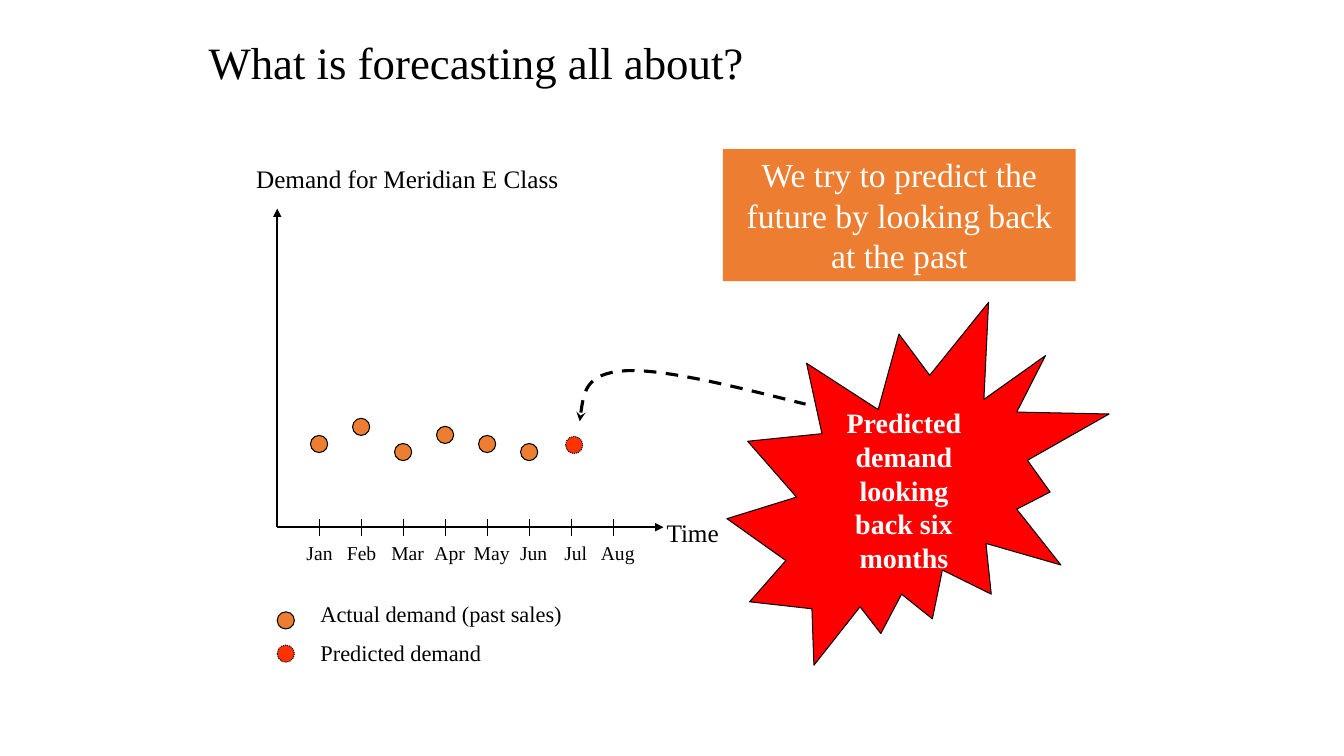
from pptx import Presentation
from pptx.dml.color import RGBColor
from pptx.enum.dml import MSO_LINE
from pptx.enum.shapes import MSO_CONNECTOR, MSO_SHAPE as SHAPE
from pptx.enum.text import MSO_ANCHOR as ANCHOR, PP_ALIGN as ALIGN
from pptx.oxml.ns import qn
from pptx.util import Inches, Pt
from lxml.etree import SubElement

COLORS = {"ink": "000000", "paper": "FFFFFF", "actual": "ED7D31",
          "predicted": "FF3300", "burst": "FF0000"}
MONTHS = ["Jan", "Feb", "Mar", "Apr", "May", "Jun", "Jul", "Aug"]
ACTUAL_TOPS = [4.32, 4.15, 4.4, 4.23, 4.32, 4.4]
STEP = 5 / 12
DOT = 0.17


class ForecastSlide:
    font = "Times New Roman"

    def __init__(self, prs):
        self.shapes = prs.slides.add_slide(prs.slide_layouts[6]).shapes

    def color(self, name):
        return RGBColor.from_string(COLORS[name])

    def label(self, sp, lines, size, color="ink", align=ALIGN.LEFT,
              anchor=ANCHOR.TOP, gap=0, bold=False, side=0.1):
        tf = sp.text_frame
        frame = {"word_wrap": True, "vertical_anchor": anchor,
                 "margin_left": Inches(side), "margin_right": Inches(side)}
        for name, value in frame.items():
            setattr(tf, name, value)
        for i, line in enumerate(lines):
            p = tf.add_paragraph() if i else tf.paragraphs[0]
            p.alignment = align
            if i:
                p.space_before = Pt(gap)
            r = p.add_run()
            r.text = line
            style = {"name": self.font, "size": Pt(size), "bold": bold}
            for name, value in style.items():
                setattr(r.font, name, value)
            r.font.color.rgb = self.color(color)

    def text(self, box, lines, size, **style):
        sp = self.shapes.add_textbox(*map(Inches, box))
        self.label(sp, lines, size, **style)

    def outline(self, sp, width, dash=None, **arrows):
        line = sp.line
        line.color.rgb = self.color("ink")
        line.width = Pt(width)
        if dash:
            line.dash_style = dash
        for end, kind in arrows.items():
            SubElement(line._get_or_add_ln(), qn(f"a:{end}"), type=kind)

    def shape(self, kind, box, fill, width=0.75, dash=None):
        sp = self.shapes.add_shape(kind, *map(Inches, box))
        sp.shadow.inherit = False
        sp.fill.solid()
        sp.fill.fore_color.rgb = self.color(fill)
        if width:
            self.outline(sp, width, dash)
        else:
            sp.line.fill.background()
        return sp

    def dot(self, left, top, kind):
        dash = MSO_LINE.ROUND_DOT if kind == "predicted" else None
        self.shape(SHAPE.OVAL, (left, top, DOT, DOT), kind, dash=dash)

    def line(self, start, end, width, **arrows):
        sp = self.shapes.add_connector(MSO_CONNECTOR.STRAIGHT,
                                       *map(Inches, start + end))
        self.outline(sp, width, **arrows)
        SubElement(sp._element.spPr, qn("a:effectLst"))

    def curve(self, points, width, dash, **arrows):
        pts = [(Inches(x), Inches(y)) for x, y in points]
        builder = self.shapes.build_freeform(*pts[0])
        builder.add_line_segments(pts[1:], close=False)
        sp = builder.convert_to_shape()
        sp.shadow.inherit = False
        sp.fill.background()
        segments = list(sp._element.iter(qn("a:lnTo")))
        for i in range(0, len(segments), 3):
            bezier = SubElement(segments[i].getparent(), qn("a:cubicBezTo"))
            for segment in segments[i:i + 3]:
                bezier.append(segment[0])
                segment.getparent().remove(segment)
        self.outline(sp, width, dash, **arrows)


def main():
    prs = Presentation()
    prs.slide_width, prs.slide_height = Inches(13.33), Inches(7.5)
    s = ForecastSlide(prs)

    s.text((1.97, 0.3, 9.08, 0.63), ["What is forecasting all about?"], 32)

    for i, top in enumerate(ACTUAL_TOPS):
        s.dot(3.08 + i * STEP, top, "actual")

    s.text((2.25, 1.57, 3.58, 0.4), ["Demand for Meridian E Class"], 18,
           align=ALIGN.CENTER)
    for end in ((2.75, 2.07), (6.58, 5.23)):
        s.line((2.75, 5.23), end, 1.25, tailEnd="triangle")
    s.text((6.33, 5.08, 1.08, 0.4), ["Time"], 18, align=ALIGN.CENTER)
    for i, month in enumerate(MONTHS):
        x = 3.17 + i * STEP
        s.line((x, 5.15), (x, 5.32), 0.75)
        width = 0.5 if i < 2 else 0.58
        s.text((x - 0.25, 5.32, width, 0.33), [month], 14,
               align=ALIGN.CENTER, side=0)

    s.dot(2.75, 6.07, "actual")
    s.dot(2.75, 6.4, "predicted")
    s.text((3.08, 5.9, 4.58, 0.77),
           ["Actual demand (past sales)", "Predicted demand"], 16, gap=9)

    banner = s.shape(SHAPE.RECTANGLE, (7.17, 1.48, 3.5, 1.31), "actual", width=0)
    s.label(banner, ["We try to predict the future by looking back at the past"],
            24, color="paper", align=ALIGN.CENTER)

    s.dot(5.61, 4.33, "predicted")
    s.curve([(5.75, 4.18), (5.78, 3.94), (5.81, 3.71), (6.18, 3.68),
             (6.55, 3.65), (7.27, 3.83), (7.99, 4.01)],
            2.25, MSO_LINE.DASH, headEnd="stealth")
    burst = s.shape(SHAPE.EXPLOSION2, (7.21, 3, 3.79, 3.6), "burst")
    s.label(burst, ["Predicted demand looking back six months"], 20,
            color="paper", align=ALIGN.CENTER, anchor=ANCHOR.MIDDLE, bold=True)

    prs.save("out.pptx")


if __name__ == "__main__":
    main()
